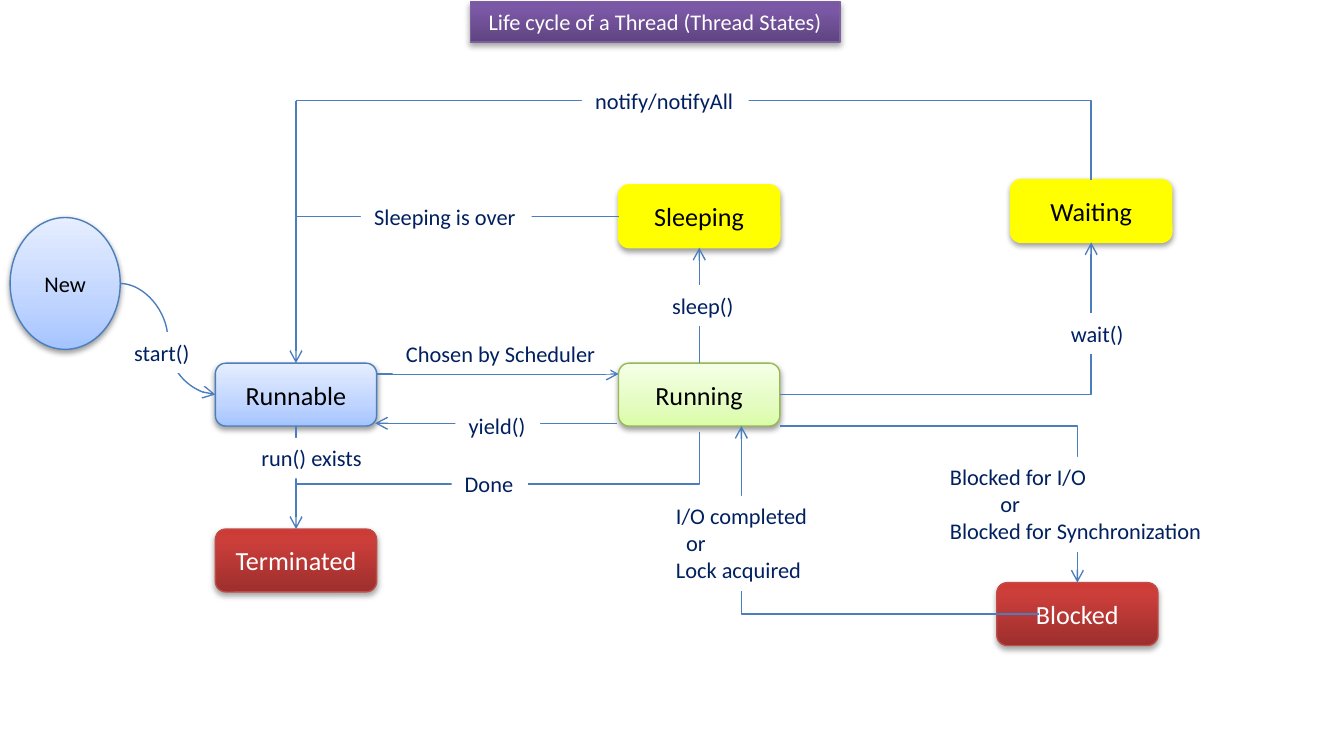
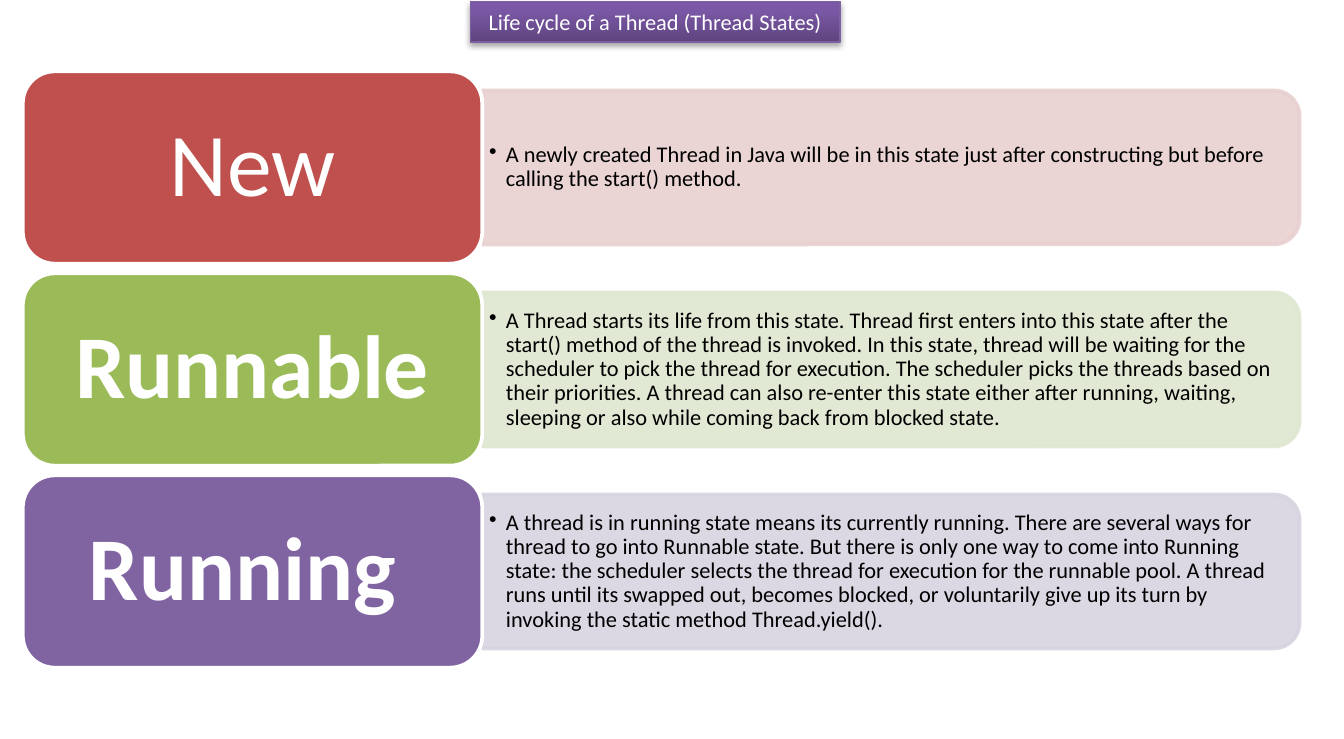
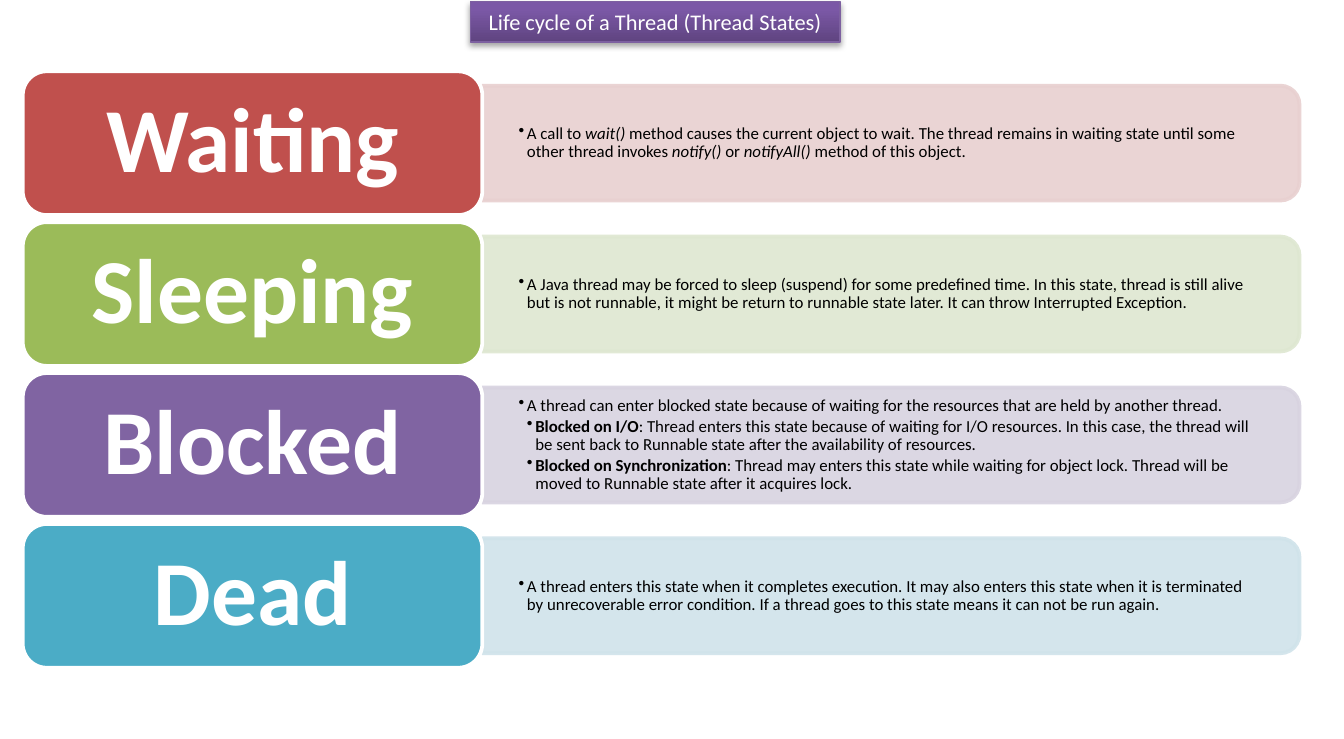
from dataclasses import dataclass

import pptx
import pptx.dml.color
import pptx.enum.shapes
import pptx.enum.text
import pptx.oxml.ns
import pptx.util
from lxml import etree

Pt = pptx.util.Pt
qn = pptx.oxml.ns.qn
SHAPE = pptx.enum.shapes.MSO_SHAPE
CONNECTOR = pptx.enum.shapes.MSO_CONNECTOR
ALIGN = pptx.enum.text.PP_ALIGN
ANCHOR = pptx.enum.text.MSO_ANCHOR
AUTO_SIZE = pptx.enum.text.MSO_AUTO_SIZE

FONT = "Calibri"
TITLE = "Life cycle of a Thread (Thread States)"
COLORS = {
    "black": "000000", "white": "FFFFFF", "navy": "002060", "arrow": "4B7EBC",
    "red": "C0504D", "green": "9BBB59", "purple": "8064A2", "teal": "4BACC6",
    "pale red": "E8D0D0", "pale green": "DEE7D1",
    "pale purple": "D8D3E0", "pale teal": "D0E3EA",
}
ROW_COLORS = ("red", "green", "purple", "teal")

STATE_WIDTH, STATE_HEIGHT = 86.4, 33.7
ROWS_TOP, ROWS_HEIGHT = 38.2, 319.6
LABEL_LEFT, LABEL_WIDTH = 12.2, 246.2
PANEL_LEFT, PANEL_WIDTH = LABEL_LEFT + LABEL_WIDTH, 437.8
DESCRIPTION_WIDTH = 434


@dataclass(frozen=True)
class Look:
    """Vertical gradient from bottom to top, outline, text colour and shadow."""
    stops: tuple[tuple[int, str], ...]
    line: str
    text: str = "black"
    shadow_alpha: int = 38
    shadow_distance: float = 1.6


PURPLE = Look(((0, "5F4480"), (80, "7B58A6"), (100, "7C57A8")), "7D60A0", "white", 35, 1.8)
BLUE = Look(((0, "A4C4FF"), (35, "BFD4FF"), (100, "E6EEFF")), "4B7EBC")
GREEN = Look(((0, "DAFDA7"), (35, "E4FCC2"), (100, "F5FFE7")), "98B955")
RED = Look(((0, "9C2F2D"), (80, "CB3E3A"), (100, "CE3B37")), "BF4C48", "white", 35, 1.8)
YELLOW = Look(((0, "FFFF00"),), "FFFF00")


@dataclass(frozen=True)
class State:
    name: str
    left: float
    top: float
    look: Look
    width: float = STATE_WIDTH
    height: float = STATE_HEIGHT
    size: int = 14
    outline: SHAPE = SHAPE.FLOWCHART_ALTERNATE_PROCESS


@dataclass(frozen=True)
class Transition:
    """An elbow leaves its start horizontally and reaches its end vertically."""
    start: tuple[float, float]
    end: tuple[float, float]
    kind: CONNECTOR = CONNECTOR.STRAIGHT
    arrow: bool = True
    joined: tuple[str, int, str, int] | None = None


@dataclass(frozen=True)
class Caption:
    left: float
    top: float
    width: float
    lines: tuple[str, ...]
    or_indent: float = 0


@dataclass(frozen=True)
class Piece:
    text: str
    bold: bool = False
    italic: bool = False


@dataclass(frozen=True)
class Point:
    pieces: tuple[Piece, ...]
    level: int = 1


@dataclass(frozen=True)
class Row:
    name: str
    points: tuple[Point, ...]
    bold: bool = True


@dataclass(frozen=True)
class RowStyle:
    name_size: int
    text_size: int
    indent: float
    inset: tuple[float, float]


STATES = (
    State("New", 5.4, 116.6, BLUE, 59, 70.6, 12, SHAPE.FLOWCHART_CONNECTOR),
    State("Runnable", 115.4, 194.6, BLUE),
    State("Running", 331.4, 194.6, GREEN),
    State("Terminated", 115.4, 283.5, RED),
    State("Waiting", 541.4, 96.2, YELLOW),
    State("Sleeping", 331.4, 99, YELLOW),
    State("Blocked", 534, 312.2, RED),
)
TRANSITIONS = (
    Transition((64.4, 151.9), (115.4, 211.4), CONNECTOR.CURVE),
    Transition((201.8, 200.4), (331.4, 200.4)),
    Transition((374.6, 194.6), (374.6, 132.7), joined=("Running", 0, "Sleeping", 2)),
    Transition((331.4, 115.9), (158.6, 194.6), CONNECTOR.ELBOW),
    Transition((158.6, 54), (584.6, 96.2), CONNECTOR.ELBOW, arrow=False),
    Transition((158.6, 54), (158.6, 115.9), arrow=False),
    Transition((417.8, 211.4), (584.6, 129.9), CONNECTOR.ELBOW),
    Transition((158.6, 228.3), (158.6, 283.5), joined=("Runnable", 2, "Terminated", 0)),
    Transition((158.6, 259.4), (374.6, 231.8), CONNECTOR.ELBOW, arrow=False),
    Transition((417.8, 228.3), (577.2, 312.2), CONNECTOR.ELBOW),
    Transition((556.6, 329), (397.2, 228.3), CONNECTOR.ELBOW),
    Transition((330.6, 226.8), (201, 226.8)),
)
CAPTIONS = (
    Caption(64.8, 178, 44.6, ("start()",)),
    Caption(210.4, 178.6, 116.6, ("Chosen by Scheduler",)),
    Caption(353, 152.8, 47.5, ("sleep()",)),
    Caption(193.4, 105.2, 91.4, ("Sleeping is over",)),
    Caption(311.8, 43.2, 89.3, ("notify/notifyAll",)),
    Caption(566.6, 167.8, 43.2, ("wait()",)),
    Caption(133, 234.6, 69.1, ("run() exists",)),
    Caption(241.9, 248.4, 41, ("Done",)),
    Caption(501.8, 244.8, 150.5, ("Blocked for I/O", "or", "Blocked for Synchronization"), 27),
    Caption(355, 265.7, 85.7, ("I/O completed", "or", "Lock acquired"), 5.4),
    Caption(244, 217.4, 45.4, ("yield()",)),
)


def plain(text: str) -> tuple[Point, ...]:
    return (Point((Piece(text),)),)


FIRST_ROWS = (
    Row("New", plain(
        "A newly created Thread in Java will be in this state just after constructing "
        "but before calling the start() method."), bold=False),
    Row("Runnable", plain(
        "A Thread starts its life from this state. Thread first enters into this state after "
        "the start() method of the thread is invoked. In this state, thread will be waiting "
        "for the scheduler to pick the thread for execution. The scheduler picks the threads "
        "based on their priorities. A thread can also re-enter this state either after "
        "running, waiting, sleeping or also while coming back from blocked state.")),
    Row("Running ", plain(
        "A thread is in running state means its currently running. There are several ways "
        "for thread to go into Runnable state. But there is only one way to come into Running "
        "state: the scheduler selects the thread for execution for the runnable pool. A thread "
        "runs until its swapped out, becomes blocked, or voluntarily give up its turn by "
        "invoking the static method Thread.yield().")),
)
SECOND_ROWS = (
    Row("Waiting", (Point((
        Piece("A call to "),
        Piece("wait() ", italic=True),
        Piece("method causes the current object to wait. The thread remains in waiting "
              "state until some other thread invokes "),
        Piece("notify() ", italic=True),
        Piece("or "),
        Piece("notifyAll()", italic=True),
        Piece(" method of this object."))),)),
    Row("Sleeping", plain(
        "A Java thread may be forced to sleep (suspend) for some predefined time. In this "
        "state, thread is still alive but is not runnable, it might be return to runnable "
        "state later. It can throw Interrupted Exception.")),
    Row("Blocked", plain(
        "A thread can enter blocked state because of waiting for the resources that are "
        "held by another thread.") + (
        Point((Piece("Blocked on I/O", bold=True),
               Piece(": Thread enters this state because of waiting for I/O resources. In this "
                     "case, the thread will be sent back to Runnable state after the "
                     "availability of resources.")), 2),
        Point((Piece("Blocked on Synchronization", bold=True),
               Piece(": Thread may enters this state while waiting for object lock. Thread "
                     "will be moved to Runnable state after it acquires lock.")), 2))),
    Row("Dead", plain(
        "A thread enters this state when it completes execution. It may also enters this "
        "state when it is terminated by unrecoverable error condition. If a thread goes to "
        "this state means it can not be run again.")),
)


def rgb(color: str) -> pptx.dml.color.RGBColor:
    return pptx.dml.color.RGBColor.from_string(COLORS.get(color, color))


def add_element(parent, tag: str, **attributes):
    return etree.SubElement(parent, qn(tag), {key: str(value) for key, value in attributes.items()})


def set_font(paragraph, size: float, color: str, bold: bool | None = None) -> None:
    paragraph.font.name = FONT
    paragraph.font.size = Pt(size)
    paragraph.font.color.rgb = rgb(color)
    paragraph.font.bold = bold


def set_insets(frame, horizontal: float, vertical: float) -> None:
    frame.margin_left = frame.margin_right = Pt(horizontal)
    frame.margin_top = frame.margin_bottom = Pt(vertical)


def paint(shape, fill: str, line: str, width: float) -> None:
    shape.shadow.inherit = False
    shape.fill.solid()
    shape.fill.fore_color.rgb = rgb(fill)
    shape.line.color.rgb = rgb(line)
    shape.line.width = Pt(width)


def apply_look(shape, look: Look) -> None:
    paint(shape, look.stops[0][1], look.line, 0.75)
    properties = shape._element.spPr
    if len(look.stops) > 1:
        shape.fill.gradient()
        shape.fill.gradient_angle = 90
        stop_list = properties.find(qn("a:gradFill")).find(qn("a:gsLst"))
        for stop in list(stop_list):
            stop_list.remove(stop)
        for position, color in look.stops:
            stop = add_element(stop_list, "a:gs", pos=position * 1000)
            add_element(stop, "a:srgbClr", val=color)
    shadow = add_element(
        properties.find(qn("a:effectLst")), "a:outerShdw", blurRad=Pt(3.1),
        dist=Pt(look.shadow_distance), dir=90 * 60000, rotWithShape=0)
    color = add_element(shadow, "a:srgbClr", val=COLORS["black"])
    add_element(color, "a:alpha", val=look.shadow_alpha * 1000)


def add_titled_slide(presentation):
    slide = presentation.slides.add_slide(presentation.slide_layouts.get_by_name("Title Only"))
    title = slide.shapes.title
    title.left, title.top, title.width, title.height = Pt(252), Pt(0.7), Pt(198), Pt(21.8)
    apply_look(title, PURPLE)
    title.text_frame.text = TITLE
    title.text_frame.auto_size = AUTO_SIZE.NONE
    title.text_frame.vertical_anchor = ANCHOR.MIDDLE
    paragraph = title.text_frame.paragraphs[0]
    paragraph.alignment = ALIGN.CENTER
    set_font(paragraph, 12, PURPLE.text)
    return slide


def add_state(slide, state: State):
    shape = slide.shapes.add_shape(
        state.outline, Pt(state.left), Pt(state.top), Pt(state.width), Pt(state.height))
    apply_look(shape, state.look)
    shape.text_frame.text = state.name
    shape.text_frame.vertical_anchor = ANCHOR.MIDDLE
    paragraph = shape.text_frame.paragraphs[0]
    paragraph.alignment = ALIGN.CENTER
    set_font(paragraph, state.size, state.look.text)
    return shape


def add_transition(slide, transition: Transition, shapes: dict) -> None:
    connector = slide.shapes.add_connector(
        transition.kind, *(Pt(value) for value in transition.start + transition.end))
    if transition.joined:
        source, source_side, target, target_side = transition.joined
        connector.begin_connect(shapes[source], source_side)
        connector.end_connect(shapes[target], target_side)
    connector.line.color.rgb = rgb("arrow")
    connector.line.width = Pt(0.75)
    properties = connector._element.spPr
    if transition.kind == CONNECTOR.ELBOW:
        properties.find(qn("a:prstGeom")).set("prst", "bentConnector2")
    if transition.arrow:
        add_element(properties.find(qn("a:ln")), "a:tailEnd", type="arrow")
    add_element(properties, "a:effectLst")


def add_caption(slide, caption: Caption) -> None:
    height = 7.2 + 14.6 * len(caption.lines)
    box = slide.shapes.add_textbox(
        Pt(caption.left), Pt(caption.top), Pt(caption.width), Pt(height))
    box.fill.solid()
    box.fill.fore_color.rgb = rgb("white")
    frame = box.text_frame
    frame.text = "\n".join(caption.lines)
    frame.word_wrap = False
    frame.auto_size = AUTO_SIZE.SHAPE_TO_FIT_TEXT
    for paragraph in frame.paragraphs:
        if paragraph.text == "or":
            paragraph._p.get_or_add_pPr().set("marL", str(Pt(caption.or_indent)))
        set_font(paragraph, 12, "navy")


def add_point(paragraph, point: Point, style: RowStyle) -> None:
    paragraph.level = point.level
    paragraph.line_spacing = 0.9
    paragraph.space_after = Pt(0.15 * style.text_size)
    properties = paragraph._p.get_or_add_pPr()
    properties.set("marL", str(Pt(style.indent * point.level)))
    properties.set("indent", str(-Pt(style.indent)))
    add_element(properties, "a:buChar", char="•")
    set_font(paragraph, style.text_size, "black")
    for piece in point.pieces:
        run = paragraph.add_run()
        run.text = piece.text
        if piece.bold:
            run.font.bold = True
        if piece.italic:
            run.font.italic = True


def add_panel(slide, middle: float, height: float, color: str) -> None:
    """Draw a band rounded on its right end, as an upright shape turned by 90 degrees."""
    panel = slide.shapes.add_shape(
        SHAPE.ROUND_2_SAME_RECTANGLE, Pt(PANEL_LEFT + (PANEL_WIDTH - height) / 2),
        Pt(middle - PANEL_WIDTH / 2), Pt(height), Pt(PANEL_WIDTH))
    panel.rotation = 90
    paint(panel, color, color, 2)
    for element in panel._element.spPr.iter(qn("a:srgbClr")):
        add_element(element, "a:alpha", val=90000)


def add_row(slide, row: Row, color: str, top: float, height: float, style: RowStyle) -> None:
    middle = top + height / 2
    panel_height = 0.8 * height
    add_panel(slide, middle, panel_height, f"pale {color}")

    text_height = 0.9 * panel_height
    description = slide.shapes.add_textbox(
        Pt(PANEL_LEFT), Pt(middle - text_height / 2), Pt(DESCRIPTION_WIDTH), Pt(text_height))
    frame = description.text_frame
    frame.word_wrap = True
    frame.vertical_anchor = ANCHOR.MIDDLE
    set_insets(frame, *style.inset)
    for index, point in enumerate(row.points):
        add_point(frame.add_paragraph() if index else frame.paragraphs[0], point, style)

    label = slide.shapes.add_shape(
        SHAPE.ROUNDED_RECTANGLE, Pt(LABEL_LEFT), Pt(top), Pt(LABEL_WIDTH), Pt(height))
    paint(label, color, "white", 2)
    label.text_frame.text = row.name
    label.text_frame.vertical_anchor = ANCHOR.MIDDLE
    set_insets(label.text_frame, 14.4, 7.2)
    paragraph = label.text_frame.paragraphs[0]
    paragraph.alignment = ALIGN.CENTER
    paragraph.line_spacing = 0.9
    set_font(paragraph, style.name_size, "white", row.bold)


def add_diagram_slide(presentation) -> None:
    slide = add_titled_slide(presentation)
    shapes = {state.name: add_state(slide, state) for state in STATES}
    for transition in TRANSITIONS:
        add_transition(slide, transition, shapes)
    for caption in CAPTIONS:
        add_caption(slide, caption)


def add_rows_slide(presentation, rows: tuple[Row, ...], style: RowStyle) -> None:
    slide = add_titled_slide(presentation)
    gap_ratio = 0.05
    height = ROWS_HEIGHT / (len(rows) + gap_ratio * (len(rows) - 1))
    for index, (row, color) in enumerate(zip(rows, ROW_COLORS)):
        top = ROWS_TOP + index * height * (1 + gap_ratio)
        add_row(slide, row, color, top, height, style)


def main() -> None:
    presentation = pptx.Presentation()
    presentation.slide_width, presentation.slide_height = Pt(720), Pt(396)
    add_diagram_slide(presentation)
    add_rows_slide(presentation, FIRST_ROWS, RowStyle(48, 12, 9, (3.6, 2.2)))
    add_rows_slide(presentation, SECOND_ROWS, RowStyle(49, 9, 4.5, (19.4, 10.1)))
    presentation.save("out.pptx")


if __name__ == "__main__":
    main()
